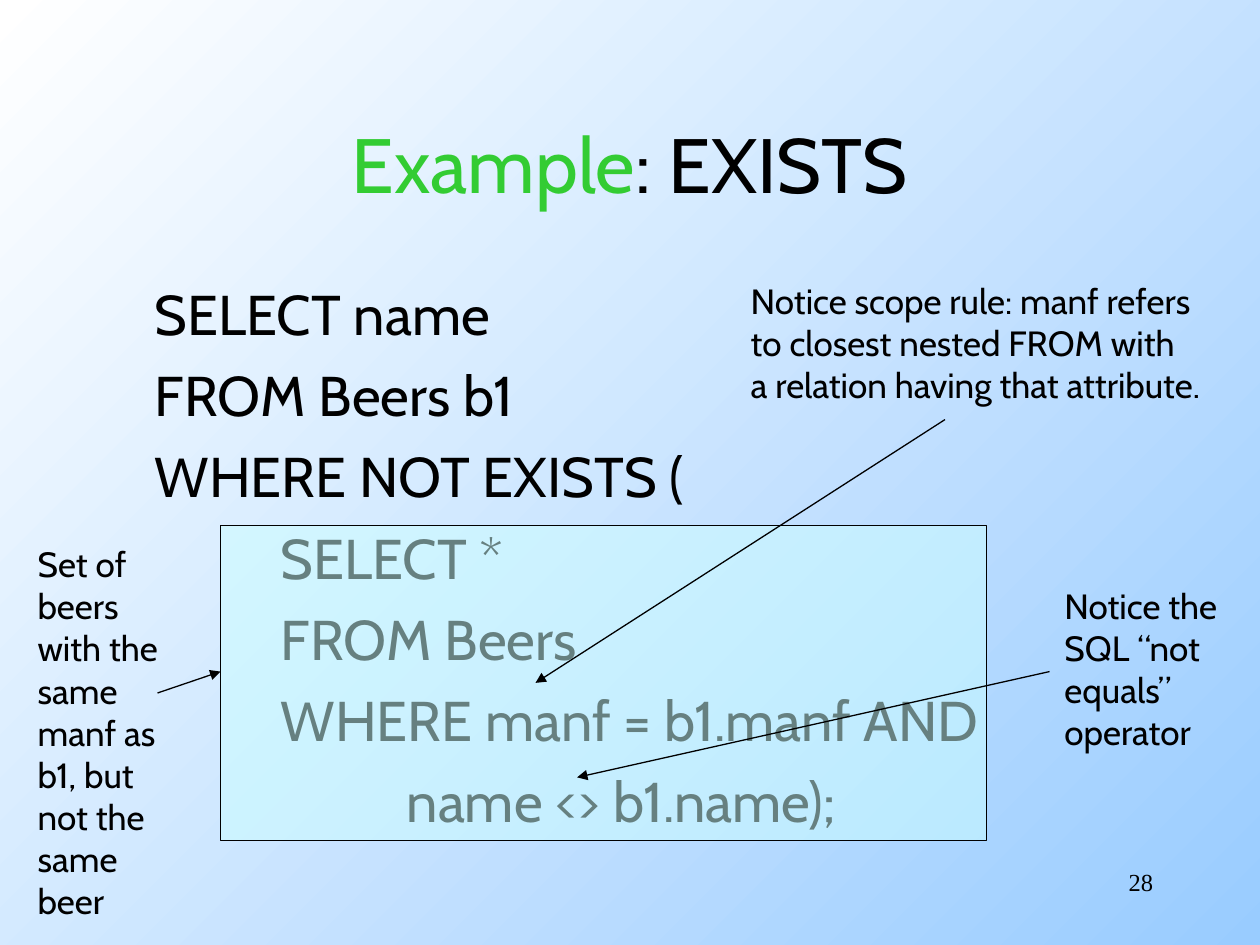
from dataclasses import dataclass

from lxml import etree
from pptx import Presentation
from pptx.dml.color import RGBColor
from pptx.enum import shapes, text
from pptx.oxml.ns import qn
from pptx.util import Inches, Pt


@dataclass(frozen=True)
class Theme:
    ink: str = "000000"
    accent: str = "33CC33"
    panel: str = "CCFFFF"
    sky: str = "99CCFF"
    white: str = "FFFFFF"
    body_font: str = "Cabin"
    number_font: str = "Times New Roman"
    title_size: int = 44
    code_size: int = 32
    note_size: int = 20
    number_size: int = 14
    line_width: float = 0.75


theme = Theme()


def write(paragraph, content, *, size, color=theme.ink, font=theme.body_font,
          align=text.PP_ALIGN.LEFT, before=0, indent=0):
    paragraph.alignment = align
    paragraph.space_before = Pt(before)
    if indent:
        paragraph._p.get_or_add_pPr().set("marL", str(Inches(indent)))
    run = paragraph.add_run()
    run.text = content
    run.font.size = Pt(size)
    run.font.name = font
    run.font.color.rgb = RGBColor.from_string(color)


def add_lines(bounds, lines, **style):
    frame = slide.shapes.add_textbox(*map(Inches, bounds)).text_frame
    frame.word_wrap = True
    for index, (content, indent) in enumerate(lines):
        paragraph = frame.add_paragraph() if index else frame.paragraphs[0]
        write(paragraph, content, indent=indent, **style)


deck = Presentation()
deck.slide_width, deck.slide_height = Inches(10), Inches(7.5)
slide = deck.slides.add_slide(deck.slide_layouts[5])

backdrop = slide.background.fill
backdrop.gradient()
backdrop.gradient_angle = 135
for stop, color, position in zip(backdrop.gradient_stops, (theme.sky, theme.white), (0, 1)):
    stop.color.rgb = RGBColor.from_string(color)
    stop.position = position

heading = slide.shapes.title
heading.left, heading.top = Inches(0.75), Inches(0.67)
heading.width, heading.height = Inches(8.5), Inches(1.25)
heading.text_frame.vertical_anchor = text.MSO_ANCHOR.MIDDLE
for content, color in (("Example", theme.accent), (": EXISTS", theme.ink)):
    write(heading.text_frame.paragraphs[0], content, size=theme.title_size,
          color=color, align=text.PP_ALIGN.CENTER)

add_lines((7.17, 6.83, 2.08, 0.5), [("28", 0)], size=theme.number_size,
          font=theme.number_font, align=text.PP_ALIGN.RIGHT)

query = [
    ("SELECT name", 0),
    ("FROM Beers b1", 0),
    ("WHERE NOT EXISTS (", 0),
    ("SELECT *", 1),
    ("FROM Beers", 1),
    ("WHERE manf = b1.manf AND", 1),
    ("name <> b1.name);", 2),
]
add_lines((0.75, 2.17, 8.5, 4.5), [(line, 0.38 + depth) for line, depth in query],
          size=theme.code_size, before=8)

subquery = slide.shapes.add_shape(shapes.MSO_SHAPE.RECTANGLE, Inches(1.75), Inches(4.17),
                                  Inches(6.08), Inches(2.5))
subquery.shadow.inherit = False
subquery.fill.solid()
subquery.fill.fore_color.rgb = RGBColor.from_string(theme.panel)
panel_color = subquery._element.spPr.find(".//" + qn("a:srgbClr"))
etree.SubElement(panel_color, qn("a:alpha"), val="50000")
subquery.line.color.rgb = RGBColor.from_string(theme.ink)
subquery.line.width = Pt(theme.line_width)

notes = [
    ((0.2, 4.26, 1.26, 3.1),
     ["Set of", "beers", "with the", "same", "manf as", "b1, but", "not the", "same", "beer"],
     (1.25, 5.5, 1.75, 5.33)),
    ((5.86, 2.17, 4.29, 1.1),
     ["Notice scope rule: manf refers", "to closest nested FROM with",
      "a relation having that attribute."],
     (7.5, 3.33, 4.25, 5.42)),
    ((8.35, 4.59, 1.54, 1.44),
     ["Notice the", "SQL “not", "equals”", "operator"],
     (8.33, 5.33, 4.58, 6.17)),
]
for bounds, lines, ends in notes:
    add_lines(bounds, [(line, 0) for line in lines], size=theme.note_size)
    pointer = slide.shapes.add_connector(shapes.MSO_CONNECTOR.STRAIGHT, *map(Inches, ends))
    pointer.line.color.rgb = RGBColor.from_string(theme.ink)
    pointer.line.width = Pt(theme.line_width)
    etree.SubElement(pointer.line._get_or_add_ln(), qn("a:tailEnd"), type="triangle")
    etree.SubElement(pointer._element.spPr, qn("a:effectLst"))

deck.save("out.pptx")
